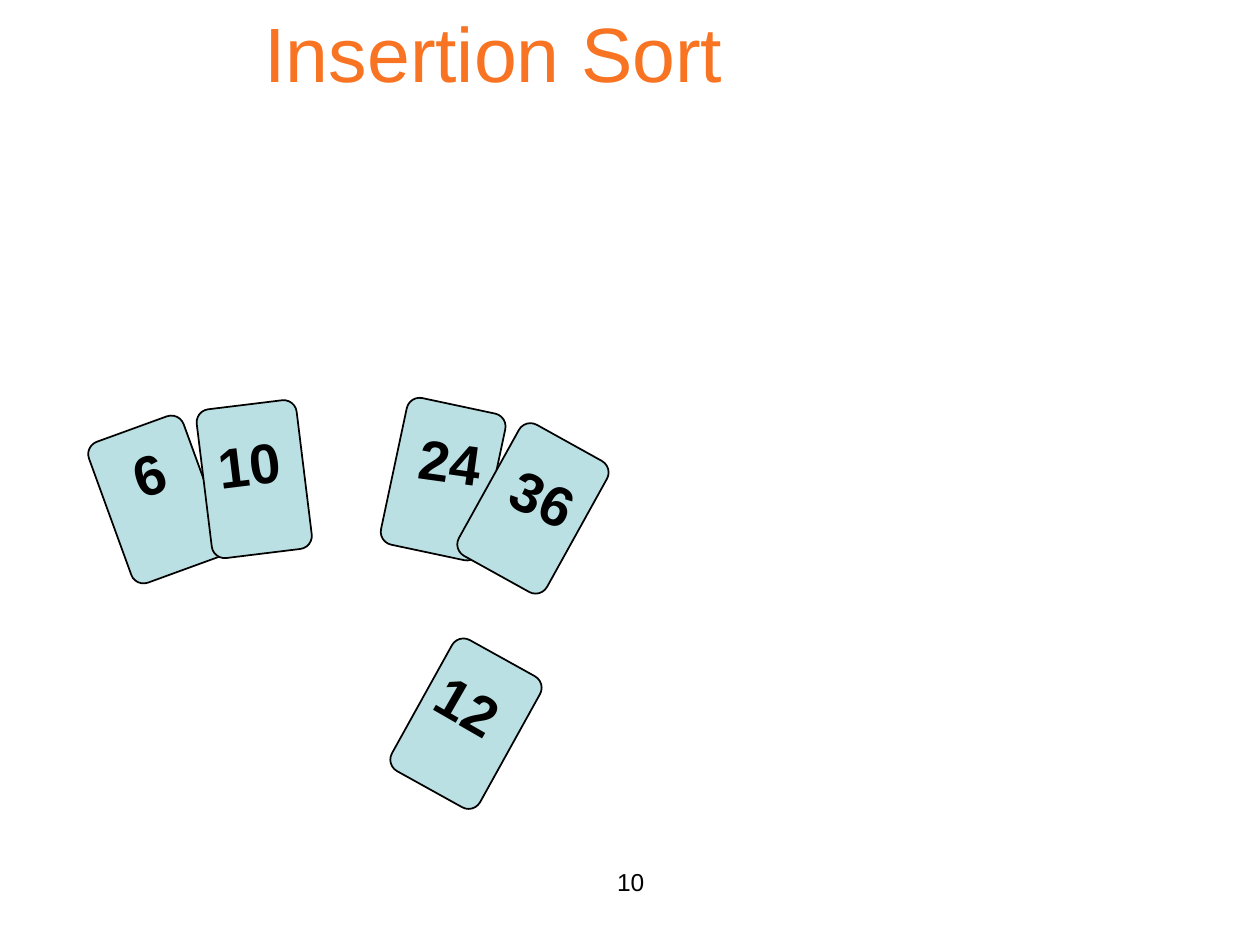
from dataclasses import dataclass

from pptx import Presentation
from pptx.dml.color import RGBColor
from pptx.enum.shapes import MSO_SHAPE
from pptx.enum.text import MSO_ANCHOR, MSO_AUTO_SIZE, PP_ALIGN
from pptx.util import Cm, Pt

ROUND = MSO_SHAPE.ROUNDED_RECTANGLE
LEFT, CENTER = PP_ALIGN.LEFT, PP_ALIGN.CENTER
TOP, BOTTOM = MSO_ANCHOR.TOP, MSO_ANCHOR.BOTTOM
FIT = MSO_AUTO_SIZE.SHAPE_TO_FIT_TEXT


@dataclass(frozen=True)
class Theme:
    font: str = "Arial"
    title: RGBColor = RGBColor(0xF8, 0x74, 0x22)
    ink: RGBColor = RGBColor(0, 0, 0)
    card: RGBColor = RGBColor(0xBB, 0xE0, 0xE3)
    title_size: int = 44
    card_size: int = 32
    page_size: int = 14
    line: float = 1


THEME = Theme()
CARD_W, CARD_H, CORNER = 2.03, 3.02, 0.13
LABEL_H = 1.6

# Each card: number, card (left, top, turn), label (left, top, width, turn)
SMALL = [
    ("6", (2.16, 8.56, 340), (2.44, 8.74, 1.14, 341)),
    ("10", (4.11, 8.15, 353), (4.14, 8.53, 1.78, 353)),
]
LARGE = [
    ("24", (7.92, 8.15, 12), (8.2, 8.48, 1.78, 8)),
    ("36", (9.73, 8.74, 29), (10.08, 9.22, 1.78, 25)),
]
NEXT = [("12", (8.38, 13.08, 29), (8.56, 13.41, 1.78, 30))]


def add_text(shapes, text, box, size, color, align=LEFT, anchor=TOP):
    shape = shapes.add_textbox(*map(Cm, box))
    frame = shape.text_frame
    frame.text = text
    frame.word_wrap = True
    frame.vertical_anchor = anchor
    line = frame.paragraphs[0]
    line.alignment = align
    font = line.runs[0].font
    font.name, font.size = THEME.font, Pt(size)
    font.color.rgb = color
    return shape


def add_card(shapes, left, top, turn):
    card = shapes.add_shape(ROUND, Cm(left), Cm(top), Cm(CARD_W), Cm(CARD_H))
    card.adjustments[0] = CORNER
    card.rotation = turn
    card.shadow.inherit = False
    card.fill.solid()
    card.fill.fore_color.rgb = THEME.card
    card.line.color.rgb = THEME.ink
    card.line.width = Pt(THEME.line)


def add_label(shapes, text, left, top, width, turn):
    label = add_text(shapes, text, (left, top, width, LABEL_H),
                     THEME.card_size, THEME.ink)
    label.rotation = turn
    frame = label.text_frame
    frame.word_wrap = False
    frame.auto_size = FIT
    frame.paragraphs[0].runs[0].font.bold = True


def add_hand(slide, cards):
    # Numbers lie above all cards of the same hand
    shapes = slide.shapes.add_group_shape().shapes
    for _, place, _ in cards:
        add_card(shapes, *place)
    for number, _, place in cards:
        add_label(shapes, number, *place)


def main():
    deck = Presentation()
    deck.slide_width, deck.slide_height = Cm(25.4), Cm(19.05)
    slide = deck.slides.add_slide(deck.slide_layouts[6])

    # Page number and title
    add_text(slide.shapes, "10", (8.69, 17.35, 8.05, 1.32),
             THEME.page_size, THEME.ink, CENTER)
    add_text(slide.shapes, "Insertion Sort", (0.94, 0.64, 18.03, 1.45),
             THEME.title_size, THEME.title, CENTER, BOTTOM)

    # Sorted cards on both sides of the gap, then the card to insert
    for hand in (SMALL, LARGE, NEXT):
        add_hand(slide, hand)

    deck.save("out.pptx")


main()
